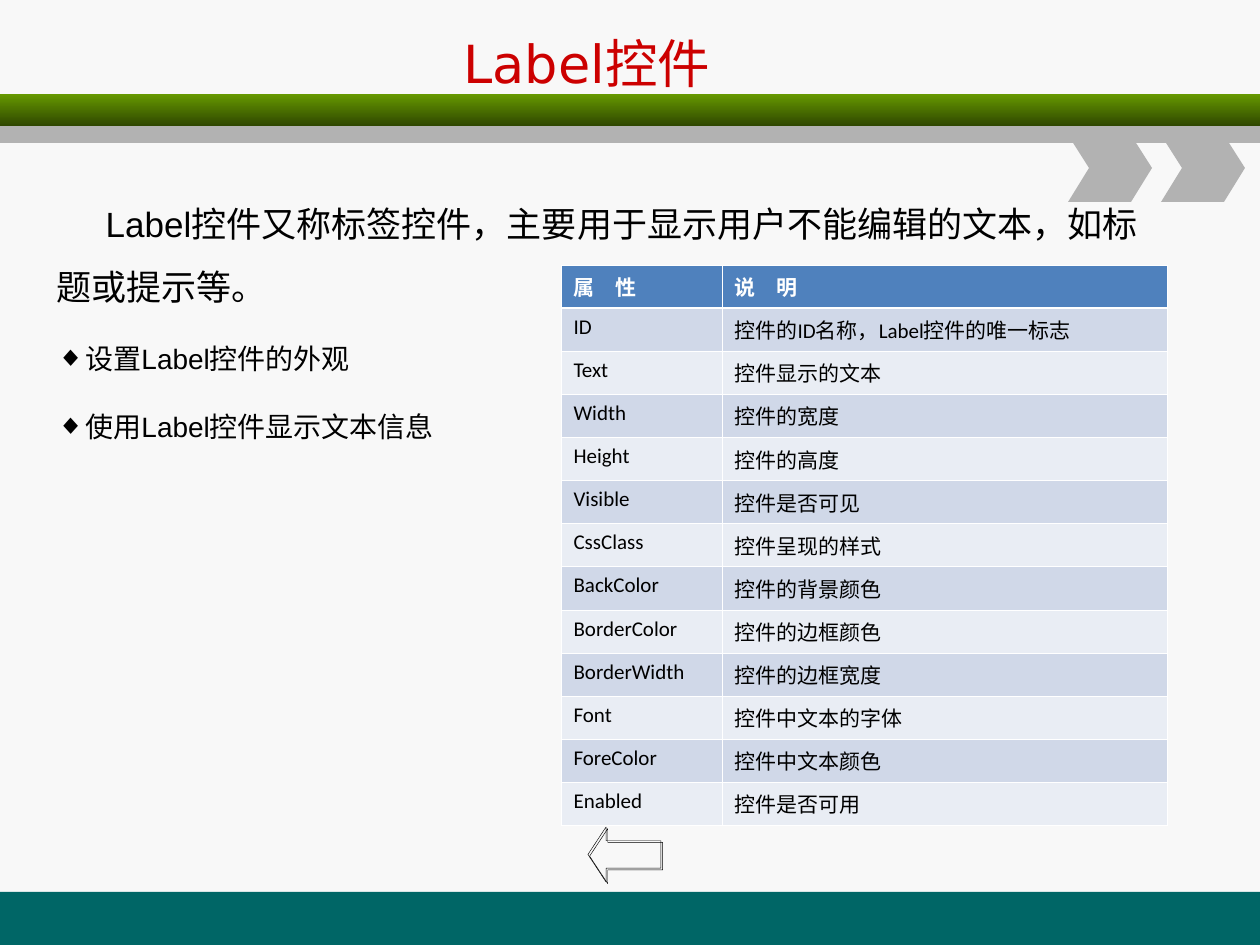
import pptx
import pptx.util
import pptx.oxml
import pptx.oxml.ns
import pptx.dml.color
import pptx.enum.shapes
import pptx.enum.text

SCALE = 914400 / 126
WIDE, HIGH = 1260, 945
KINDS = pptx.enum.shapes.MSO_SHAPE
NS = pptx.oxml.ns.nsdecls("a")
ROWS = [
    ("属　性", "说　明"),
    ("ID", "控件的ID名称，Label控件的唯一标志"),
    ("Text", "控件显示的文本"),
    ("Width", "控件的宽度"),
    ("Height", "控件的高度"),
    ("Visible", "控件是否可见"),
    ("CssClass", "控件呈现的样式"),
    ("BackColor", "控件的背景颜色"),
    ("BorderColor", "控件的边框颜色"),
    ("BorderWidth", "控件的边框宽度"),
    ("Font", "控件中文本的字体"),
    ("ForeColor", "控件中文本颜色"),
    ("Enabled", "控件是否可用"),
]


def px(num):
    return pptx.util.Emu(round(num * SCALE))


def tint(code):
    return pptx.dml.color.RGBColor.from_string(code)


def xml(text):
    return pptx.oxml.parse_xml(text)


def write(para, text, size=12, font="Calibri", color="000000", bold=False,
          before=0, lines=1, left=0, indent=0, bullet=None):
    props = para._p.get_or_add_pPr()
    props.set("marL", str(px(left)))
    props.set("indent", str(px(indent)))
    if bullet:
        props.append(xml(f'<a:buClr {NS}><a:srgbClr val="{color}"/></a:buClr>'))
        props.append(xml(f'<a:buChar {NS} char="{bullet}"/>'))
    else:
        props.append(xml(f"<a:buNone {NS}/>"))
    para.alignment = pptx.enum.text.PP_ALIGN.LEFT
    para.space_before = pptx.util.Pt(before)
    para.line_spacing = lines
    run = para.add_run()
    run.text = text
    run.font.size = pptx.util.Pt(size)
    run.font.name = font
    run.font.bold = bold
    run.font.color.rgb = tint(color)


def place(shape, x, y, w, h):
    shape.left, shape.top, shape.width, shape.height = map(px, (x, y, w, h))
    frame = shape.text_frame
    frame.word_wrap = True
    frame.auto_size = pptx.enum.text.MSO_AUTO_SIZE.NONE
    return frame


def paint(shape, code):
    shape.shadow.inherit = False
    shape.fill.solid()
    shape.fill.fore_color.rgb = tint(code)
    shape.line.fill.background()


def add_bar(slide, x, y, w, h, code):
    bar = slide.shapes.add_shape(KINDS.RECTANGLE, px(x), px(y), px(w), px(h))
    paint(bar, code)
    return bar


def add_wedge(slide, x, y, w, h):
    tip, mid = w // 4, h // 2
    spots = [(w - tip, 0), (w, mid), (w - tip, h), (0, h), (tip, mid)]
    pen = slide.shapes.build_freeform(px(x), px(y))
    pen.add_line_segments([(px(x + a), px(y + b)) for a, b in spots])
    paint(pen.convert_to_shape(), "B2B2B2")


def add_head(slide, x, y, w):
    band = add_bar(slide, x, y, w, 32, "669900")
    band.fill.gradient()
    band.fill.gradient_angle = 270
    for stop, code in zip(band.fill.gradient_stops, ("669900", "2F4700")):
        stop.color.rgb = tint(code)
    add_bar(slide, x, y + 32, w, 17, "B2B2B2")
    for back in (192, 99):
        add_wedge(slide, x + w - back, y + 41, 84, 67)


def add_title(slide, x, y, w, h):
    frame = place(slide.shapes.title, x, y, w, h)
    frame.vertical_anchor = pptx.enum.text.MSO_ANCHOR.MIDDLE
    write(frame.paragraphs[0], "Label控件", size=30, font="DejaVu Sans",
          color="CC0000")


def add_body(slide, x, y, w, h):
    frame = place(slide.placeholders[1], x, y, w, h)
    write(frame.paragraphs[0],
          "Label控件又称标签控件，主要用于显示用户不能编辑的文本，如标题或提示等。",
          size=20, font="Arial", lines=1.5, indent=49)
    for text in ("设置Label控件的外观", "使用Label控件显示文本信息"):
        write(frame.add_paragraph(), text, size=16, font="Arial", lines=1.5,
              before=10, left=29, indent=-29, bullet="◆")


def edge(cell, side, width):
    cell._tc.get_or_add_tcPr().append(xml(
        f'<a:ln{side} {NS} w="{pptx.util.Pt(width)}"><a:solidFill>'
        f'<a:srgbClr val="FFFFFF"/></a:solidFill></a:ln{side}>'))


def add_grid(slide, x, y, cols, step):
    grid = slide.shapes.add_table(len(ROWS), len(cols), px(x), px(y),
                                  px(sum(cols)), px(step * len(ROWS))).table
    for col, w in zip(grid.columns, cols):
        col.width = px(w)
    for i, row in enumerate(ROWS):
        grid.rows[i].height = px(step + 4 if row[0] == "CssClass" else step)
        head = i == 0
        back = "4F81BD" if head else ("E9EDF4", "D0D8E8")[i % 2]
        for j, text in enumerate(row):
            cell = grid.cell(i, j)
            for side in "LRTB":
                thick = (i, side) in ((0, "B"), (1, "T"))
                edge(cell, side, 1.47 if thick else 0.45)
            cell.fill.solid()
            cell.fill.fore_color.rgb = tint(back)
            write(cell.text_frame.paragraphs[0], text, bold=head,
                  color="FFFFFF" if head else "000000")


def add_arrow(slide, x, y, w, h):
    arrow = slide.shapes.add_shape(KINDS.LEFT_ARROW, px(x), px(y), px(w), px(h))
    arrow.adjustments[0] = 0.5
    arrow.adjustments[1] = 0.33
    arrow.fill.background()
    arrow.line.color.rgb = tint("000000")
    arrow.line.width = pptx.util.Pt(0.25)
    arrow.shadow.inherit = False
    shade = arrow._element.spPr.find(pptx.oxml.ns.qn("a:effectLst"))
    shade.append(xml(
        f'<a:outerShdw {NS} dist="{pptx.util.Pt(1.4)}" dir="2700000">'
        '<a:srgbClr val="000000"/></a:outerShdw>'))


def main():
    deck = pptx.Presentation()
    deck.slide_width, deck.slide_height = px(WIDE), px(HIGH)
    slide = deck.slides.add_slide(deck.slide_layouts[1])
    slide.background.fill.solid()
    slide.background.fill.fore_color.rgb = tint("F8F8F8")
    add_bar(slide, 0, 892, WIDE, 53, "006666")
    add_head(slide, 0, 94, WIDE)
    add_title(slide, 451, 21, 306, 84)
    add_body(slide, 44, 175, 1142, 343)
    add_arrow(slide, 588, 827, 73, 55)
    add_grid(slide, 561, 265, (161, 445), 38)
    deck.save("out.pptx")


if __name__ == "__main__":
    main()
